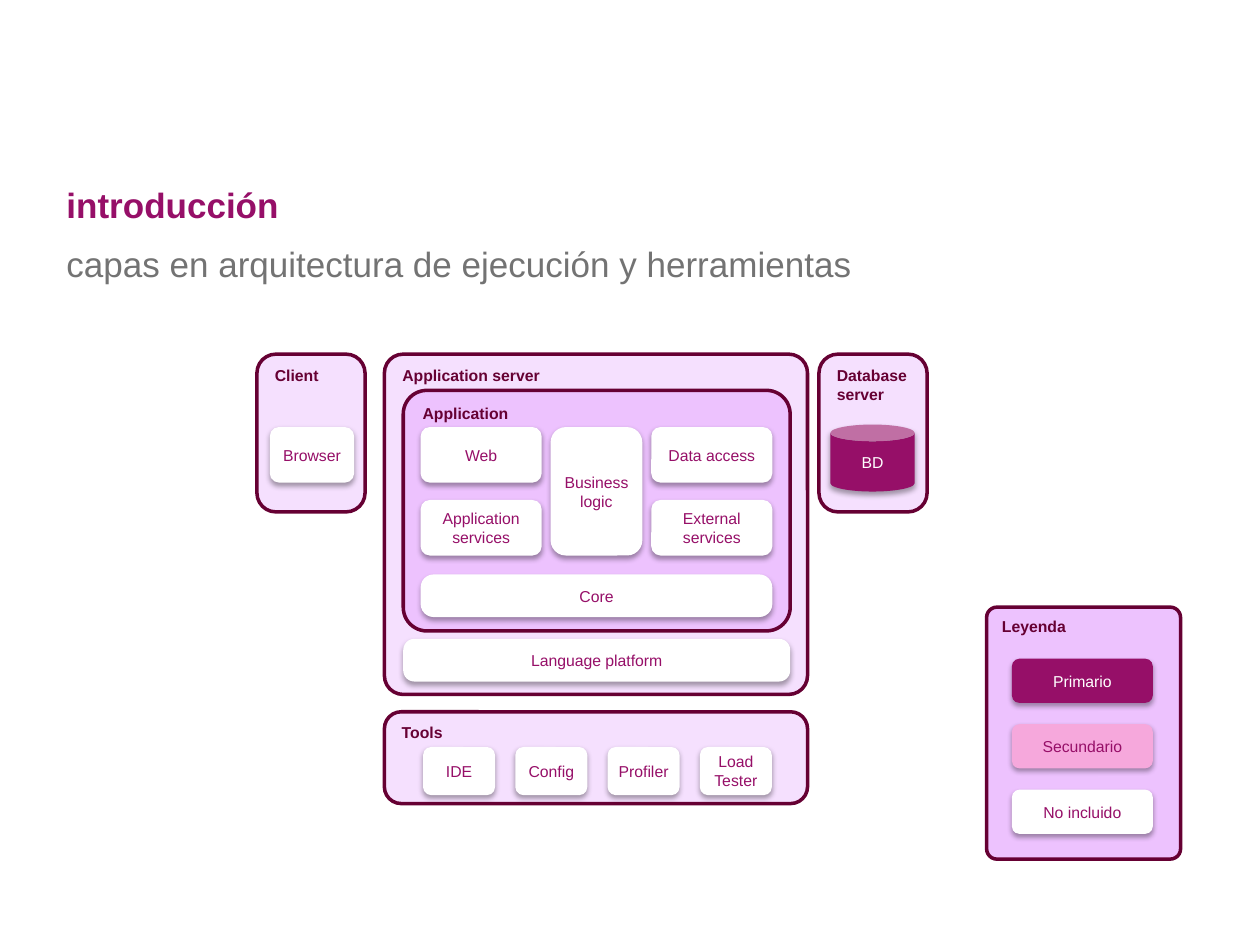
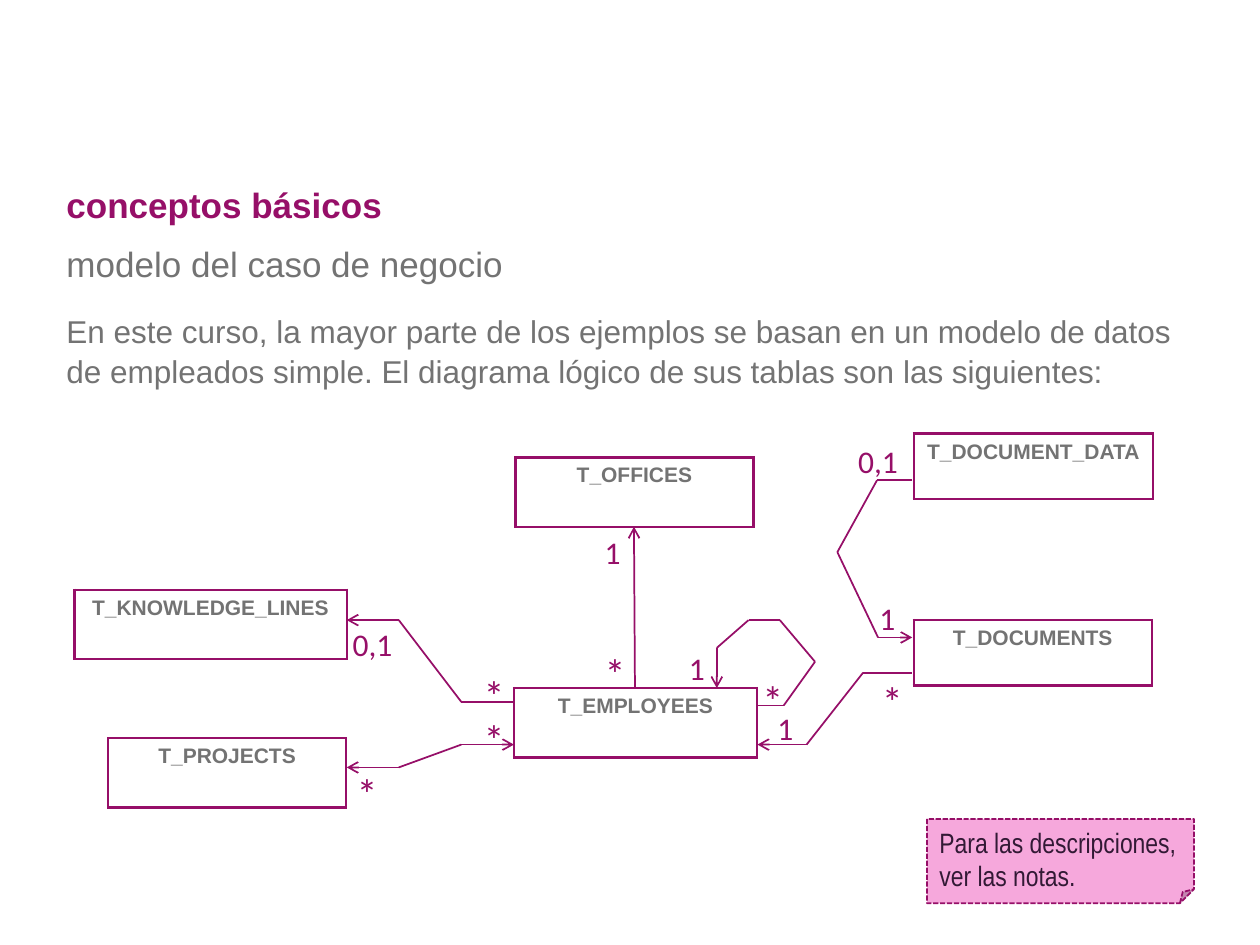
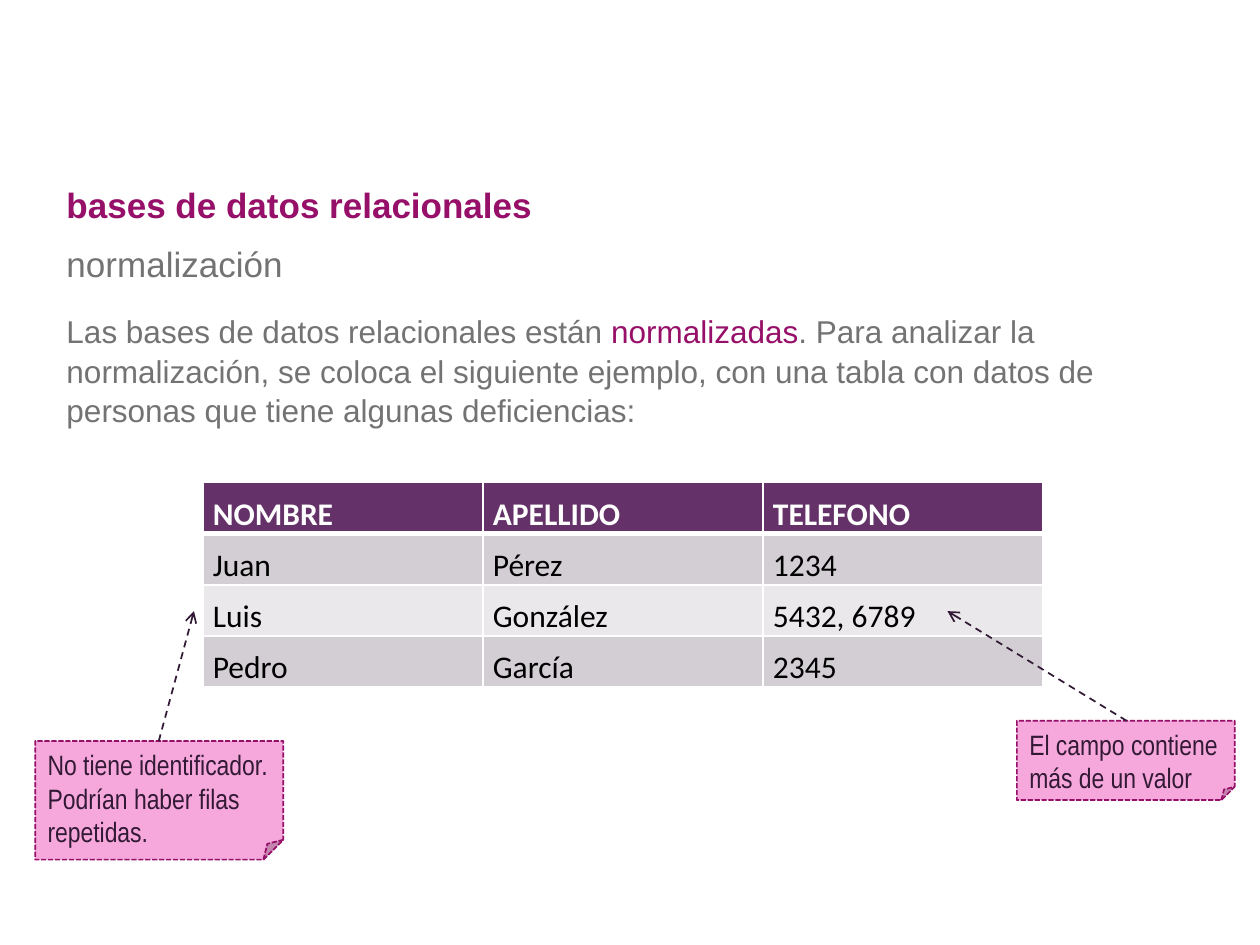
"""Build three slides on database layers, the business model and normalization."""
import lxml.etree
import pptx
import pptx.dml.color
import pptx.enum.dml
import pptx.enum.shapes
import pptx.enum.text
import pptx.oxml.ns
import pptx.util

Cm = pptx.util.Cm
Pt = pptx.util.Pt
qn = pptx.oxml.ns.qn
SHAPE = pptx.enum.shapes.MSO_SHAPE
DASH = pptx.enum.dml.MSO_LINE
ALIGN = pptx.enum.text.PP_ALIGN
ANCHOR = pptx.enum.text.MSO_ANCHOR

COLORS = {
    "plum": "960F68",
    "wine": "660033",
    "lilac": "EDC2FE",
    "pink": "F6A8DC",
    "gray": "737373",
    "ink": "321935",
    "header": "643269",
    "odd": "D3CED4",
    "even": "EAE8EB",
    "white": "FFFFFF",
    "black": "000000",
}


def rgb(name):
    """Return the named colour."""
    return pptx.dml.color.RGBColor.from_string(COLORS[name])


def sub(parent, tag, **attrs):
    """Append an XML child with attributes."""
    child = lxml.etree.SubElement(parent, qn(tag))
    for key, value in attrs.items():
        child.set(key, str(value))
    return child


def write(tf, text, size=9, color="gray", font="Arial", bold=False, align=ALIGN.LEFT,
          anchor=ANCHOR.TOP, margins=(0.25, 0.13, 0.25, 0.13), spacing=None, wrap=True):
    """Write a string, or a list of (string, colour) runs, into a text frame."""
    tf.word_wrap = wrap
    tf.auto_size = pptx.enum.text.MSO_AUTO_SIZE.NONE
    tf.vertical_anchor = anchor
    tf.margin_left, tf.margin_top, tf.margin_right, tf.margin_bottom = map(Cm, margins)
    fill_paragraph(tf.paragraphs[0], text, size, color, font, bold, align)
    if spacing:
        tf.paragraphs[0].line_spacing = spacing


def fill_paragraph(p, text, size, color, font, bold, align):
    """Add formatted runs to a paragraph."""
    p.alignment = align
    for words, shade in [(text, color)] if isinstance(text, str) else text:
        r = p.add_run()
        r.text = words
        r.font.name, r.font.size, r.font.bold = font, Pt(size), bold
        r.font.color.rgb = rgb(shade)


def place(ph, box, text, plain=True, **fmt):
    """Move a placeholder and write its text without a bullet."""
    ph.left, ph.top, ph.width, ph.height = map(Cm, box)
    p = ph.text_frame.paragraphs[0]
    if plain:
        pPr = p._p.get_or_add_pPr()
        pPr.set("marL", "0")
        pPr.set("indent", "0")
        sub(pPr, "a:buNone")
    p.space_before = Pt(0)
    write(ph.text_frame, text, **fmt)


def new_slide(prs, title, subtitle, body=None):
    """Add a slide with title, subtitle and optional body text."""
    s = prs.slides.add_slide(prs.slide_layouts[3 if body else 1])
    place(s.shapes.title, (1.09, 3.53, 23.01, 1.19), title, plain=False,
          size=20, color="plum", bold=True, anchor=ANCHOR.MIDDLE)
    place(s.placeholders[1], (1.09, 4.72, 23.01, 1.19), subtitle,
          size=20, anchor=ANCHOR.MIDDLE)
    if body:
        place(s.placeholders[2], (1.09, 6.12, 23.29, 11.61), body, size=18, spacing=1.05)
    return s


def add_shape(s, kind, box, fill, line=None, width=1, adj=None):
    """Add a flat filled shape with an optional outline."""
    sp = s.shapes.add_shape(kind, *map(Cm, box))
    sp.fill.solid()
    sp.fill.fore_color.rgb = rgb(fill)
    if line:
        sp.line.color.rgb = rgb(line)
        sp.line.width = Pt(width)
    else:
        sp.line.fill.background()
    if adj is not None:
        sp.adjustments[0] = adj
    sp.shadow.inherit = False
    return sp


def add_panel(s, box, text, adj, clear=True):
    """Add an outlined container with a heading."""
    sp = add_shape(s, SHAPE.ROUNDED_RECTANGLE, box, "lilac", "wine", 2, adj)
    if clear:
        color = sp.element.spPr.find(qn("a:solidFill")).find(qn("a:srgbClr"))
        sub(color, "a:alpha", val=50000)
    write(sp.text_frame, text, color="wine", bold=True, margins=(0.25, 0.13, 0.2, 0.13))


def add_block(s, box, text, fill="white", color="plum", kind=SHAPE.ROUNDED_RECTANGLE, adj=None):
    """Add a centred component block with a soft shadow."""
    sp = add_shape(s, kind, box, fill, adj=adj)
    effects = sp.element.spPr.find(qn("a:effectLst"))
    shadow = sub(effects, "a:outerShdw", blurRad=Pt(3.1), dist=Pt(1.8),
                 dir=5400000, rotWithShape=0)
    sub(sub(shadow, "a:srgbClr", val=COLORS["black"]), "a:alpha", val=35000)
    write(sp.text_frame, text, color=color, align=ALIGN.CENTER, anchor=ANCHOR.MIDDLE,
          margins=(0.14, 0.1, 0.14, 0.1))


def add_note(s, box, text):
    """Add a dashed sticky note."""
    sp = add_shape(s, SHAPE.FOLDED_CORNER, box, "pink", "plum")
    sp.line.dash_style = DASH.SQUARE_DOT
    write(sp.text_frame, text, size=16, color="ink", font="Arial Narrow")


def add_route(s, points, head=False, tail=False, color="plum", dash=None):
    """Join points with connectors, with arrowheads at the chosen ends."""
    last = len(points) - 2
    for i, (start, end) in enumerate(zip(points, points[1:])):
        c = s.shapes.add_connector(pptx.enum.shapes.MSO_CONNECTOR.STRAIGHT,
                                   *map(Cm, start + end))
        c.line.color.rgb = rgb(color)
        c.line.width = Pt(1)
        if dash:
            c.line.dash_style = dash
        ln = c.element.spPr.find(qn("a:ln"))
        if head and i == 0:
            sub(ln, "a:headEnd", type="arrow")
        if tail and i == last:
            sub(ln, "a:tailEnd", type="arrow")
        sub(c.element.spPr, "a:effectLst")


def add_label(s, text, x, y):
    """Add a cardinality label."""
    many = text == "*"
    tb = s.shapes.add_textbox(Cm(x), Cm(y), Cm(0.4 * len(text)), Cm(1.02 if many else 0.76))
    write(tb.text_frame, text, size=24 if many else 18, color="plum", font="Calibri",
          margins=(0, 0, 0, 0), wrap=False)


def fill_cell(cell, text, fill, border, widths, margins, anchor=ANCHOR.TOP, **fmt):
    """Fill a table cell and draw its left, right, top and bottom borders."""
    tcPr = cell._tc.get_or_add_tcPr()
    for side, width in zip("LRTB", widths):
        ln = sub(tcPr, "a:ln" + side, w=Pt(width))
        sub(sub(ln, "a:solidFill"), "a:srgbClr", val=COLORS[border])
    cell.fill.solid()
    cell.fill.fore_color.rgb = rgb(fill)
    cell.vertical_anchor = anchor
    cell.margin_left, cell.margin_top, cell.margin_right, cell.margin_bottom = map(Cm, margins)
    fill_paragraph(cell.text_frame.paragraphs[0], text, **fmt)


def add_entity(s, text, box):
    """Add a one-cell table for an entity."""
    table = s.shapes.add_table(1, 1, *map(Cm, box)).table
    fill_cell(table.cell(0, 0), text, "white", "plum", (1.5,) * 4, (0.15, 0.13, 0.15, 0.13),
              size=12, color="gray", font="Arial", bold=True, align=ALIGN.CENTER)


def add_data_table(s, box, rows):
    """Add a table with a header and banded rows."""
    table = s.shapes.add_table(len(rows), len(rows[0]), *map(Cm, box)).table
    for i, row in enumerate(rows):
        header = i == 0
        fill = "header" if header else "odd" if i % 2 else "even"
        widths = (1, 1, 3 if i == 1 else 1, 3 if header else 1)
        for j, text in enumerate(row):
            fill_cell(table.cell(i, j), text, fill, "white", widths, (0.2, 0.03, 0.2, 0),
                      anchor=ANCHOR.BOTTOM, size=18, color="white" if header else "black",
                      font="Calibri", bold=header, align=ALIGN.LEFT)


def build_layers(prs):
    """Build the architecture layers slide."""
    s = new_slide(prs, "introducción", "capas en arquitectura de ejecución y herramientas")
    add_panel(s, (7.75, 7.14, 8.53, 6.86), "Application server", 0.055)
    add_panel(s, (8.13, 7.87, 7.8, 4.85), "Application", 0.098, clear=False)
    services = [("Web", "Application services"), ("Data access", "External services")]
    for x, names in zip((8.48, 13.13), services):
        for y, name in zip((8.61, 10.08), names):
            add_block(s, (x, y, 2.44, 1.12), name)
    add_block(s, (11.1, 8.61, 1.85, 2.59), "Business logic")
    add_block(s, (8.48, 11.58, 7.09, 0.86), "Core", adj=0.305)
    add_block(s, (8.13, 12.88, 7.8, 0.86), "Language platform", adj=0.259)

    add_panel(s, (7.75, 14.35, 8.53, 1.85), "Tools", 0.183)
    for i, name in enumerate(("IDE", "Config", "Profiler", "Load Tester")):
        add_block(s, (8.53 + 1.86 * i, 15.06, 1.45, 0.97), name)

    add_panel(s, (5.18, 7.14, 2.18, 3.18), "Client", 0.175)
    add_block(s, (5.44, 8.61, 1.7, 1.12), "Browser")
    add_panel(s, (16.51, 7.14, 2.18, 3.18), "Database server", 0.175)
    add_block(s, (16.74, 8.56, 1.7, 1.35), "BD", "plum", "white", SHAPE.CAN)

    add_panel(s, (19.89, 12.24, 3.91, 5.08), "Leyenda", 0.053, clear=False)
    legend = [("Primario", "plum", "white"), ("Secundario", "pink", "plum"),
              ("No incluido", "white", "plum")]
    for i, (name, fill, color) in enumerate(legend):
        add_block(s, (20.4, 13.28 + 1.32 * i, 2.84, 0.89), name, fill, color)


def build_model(prs):
    """Build the business model slide."""
    s = new_slide(prs, "conceptos básicos", "modelo del caso de negocio",
                  "En este curso, la mayor parte de los ejemplos se basan en un modelo de datos "
                  "de empleados simple. El diagrama lógico de sus tablas son las siguientes:")
    entities = {
        "T_PROJECTS": (2.18, 14.88, 4.8, 1.4),
        "T_OFFICES": (10.39, 9.22, 4.8, 1.4),
        "T_EMPLOYEES": (10.36, 13.87, 4.9, 1.4),
        "T_KNOWLEDGE_LINES": (1.5, 11.89, 5.49, 1.4),
        "T_DOCUMENTS": (18.42, 12.5, 4.8, 1.32),
        "T_DOCUMENT_DATA": (18.42, 8.74, 4.83, 1.32),
    }
    for name, box in entities.items():
        add_entity(s, name, box)

    add_route(s, [(6.99, 15.47), (8.04, 15.47), (9.3, 15.01), (10.36, 15.01)],
              head=True, tail=True)
    add_route(s, [(6.99, 12.5), (8.04, 12.5), (9.3, 14.15), (10.36, 14.15)], head=True)
    add_route(s, [(15.27, 15.01), (16.26, 15.01), (17.4, 13.56), (18.39, 13.56)], head=True)
    add_route(s, [(18.39, 9.68), (17.68, 9.68), (16.88, 11.13), (17.7, 12.85),
                  (18.39, 12.85)], tail=True)
    add_route(s, [(12.78, 10.62), (12.8, 13.87)], head=True)
    add_route(s, [(15.27, 14.22), (15.8, 14.22), (16.43, 13.34), (15.72, 12.5),
                  (15.09, 12.5), (14.45, 13.06), (14.45, 13.87)], tail=True)

    labels = {
        "0,1": [(7.11, 12.6), (17.3, 8.92)],
        "1": [(17.73, 12.07), (15.67, 14.3), (12.19, 10.74), (13.89, 13.08)],
        "*": [(17.78, 13.61), (9.75, 13.49), (9.75, 14.38), (7.19, 15.47),
              (12.19, 13.06), (15.37, 13.59)],
    }
    for text, spots in labels.items():
        for x, y in spots:
            add_label(s, text, x, y)
    add_note(s, (18.69, 16.51, 5.38, 1.7), "Para las descripciones, ver las notas.")


def build_normalization(prs):
    """Build the normalization slide."""
    s = new_slide(prs, "bases de datos relacionales", "normalización", [
        ("Las bases de datos relacionales están ", "gray"),
        ("normalizadas", "plum"),
        (". Para analizar la normalización, se coloca el siguiente ejemplo, con una tabla "
         "con datos de personas que tiene algunas deficiencias:", "gray"),
    ])
    add_data_table(s, (4.09, 9.73, 16.94, 4.12), [
        ("NOMBRE", "APELLIDO", "TELEFONO"),
        ("Juan", "Pérez", "1234"),
        ("Luis", "González", "5432, 6789"),
        ("Pedro", "García", "2345"),
    ])
    notes = [
        ((0.71, 14.94, 5, 2.39), "No tiene identificador. Podrían haber filas repetidas.",
         [(3.2, 14.94), (3.91, 12.32)]),
        ((20.5, 14.53, 4.39, 1.6), "El campo contiene más de un valor",
         [(22.71, 14.53), (19.1, 12.32)]),
    ]
    for box, text, arrow in notes:
        add_note(s, box, text)
        add_route(s, arrow, tail=True, color="ink", dash=DASH.DASH)


def main():
    """Build and save the presentation."""
    prs = pptx.Presentation()
    prs.slide_width, prs.slide_height = Cm(25.4), Cm(19.05)
    build_layers(prs)
    build_model(prs)
    build_normalization(prs)
    prs.save("out.pptx")


if __name__ == "__main__":
    main()
